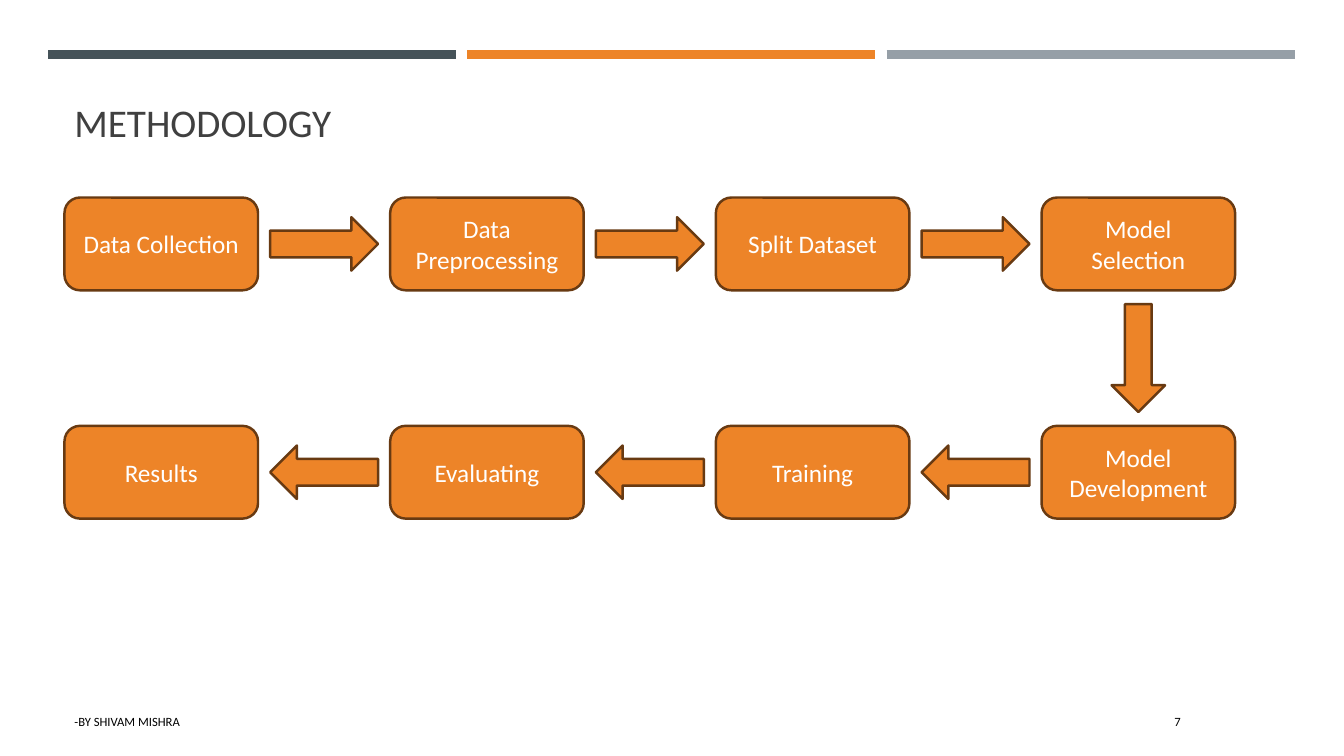
"""Build the methodology slide: a flow of eight steps that turns back at the right."""
import dataclasses

import pptx
import pptx.dml.color
import pptx.enum.shapes
import pptx.enum.text
import pptx.oxml
import pptx.util

KIND = pptx.enum.shapes.MSO_SHAPE
ALIGN = pptx.enum.text.PP_ALIGN
ANCHOR = pptx.enum.text.MSO_ANCHOR
WIDE = pptx.util.Inches(13.33)
HIGH = pptx.util.Inches(7.5)
COLS = ROWS = 100
STEPS = (
    ("Data Collection", "Data Preprocessing", "Split Dataset", "Model Selection"),
    ("Results", "Evaluating", "Training", "Model Development"),
)


@dataclasses.dataclass(frozen=True)
class Theme:
    """Hold the colours and type sizes of the slide."""
    font: str = "Calibri"
    slate: str = "465359"
    orange: str = "ED8428"
    grey: str = "969FA7"
    edge: str = "683A12"
    title: str = "404040"
    white: str = "FFFFFF"
    black: str = "000000"
    head: float = 28
    body: float = 18
    foot: float = 9
    bar: float = 6.5
    rim: float = 1.75


THEME = Theme()


def color(code):
    """Turn a hex code into a colour."""
    return pptx.dml.color.RGBColor.from_string(code)


def place(left, top, width, height):
    """Turn grid columns and rows into slide lengths."""
    return (round(left * WIDE / COLS), round(top * HIGH / ROWS),
            round(width * WIDE / COLS), round(height * HIGH / ROWS))


def write(shape, text, size, ink, align=ALIGN.LEFT, anchor=ANCHOR.TOP):
    """Put one styled paragraph into a shape."""
    frame = shape.text_frame
    frame.text = text
    frame.word_wrap = True
    frame.vertical_anchor = anchor
    line = frame.paragraphs[0]
    line.alignment = align
    font = line.runs[0].font
    font.name = THEME.font
    font.size = pptx.util.Pt(size)
    font.color.rgb = color(ink)


def label(slide, box, text, size, ink, anchor=ANCHOR.TOP):
    """Add a text box on the grid."""
    write(slide.shapes.add_textbox(*place(*box)), text, size, ink, anchor=anchor)


def block(slide, kind, mid, size):
    """Add an orange shape centred on a grid point."""
    box = place(mid[0] - size[0] / 2, mid[1] - size[1] / 2, *size)
    shape = slide.shapes.add_shape(kind, *box)
    shape.shadow.inherit = False
    shape.fill.solid()
    shape.fill.fore_color.rgb = color(THEME.orange)
    shape.line.color.rgb = color(THEME.edge)
    shape.line.width = pptx.util.Pt(THEME.rim)
    return shape


def bars(slide, box):
    """Draw three equal bars across the top of the box."""
    left, top, width, gap = box
    span = (width - 2 * gap) / 3
    for spot, ink in enumerate((THEME.slate, THEME.orange, THEME.grey)):
        x, y, w, _ = place(left + spot * (span + gap), top, span, 0)
        line = slide.shapes.add_connector(
            pptx.enum.shapes.MSO_CONNECTOR.STRAIGHT, x, y, x + w, y)
        line.line.color.rgb = color(ink)
        line.line.width = pptx.util.Pt(THEME.bar)
        props = line._element.spPr
        props.append(props.makeelement(pptx.oxml.ns.qn("a:effectLst"), {}))


def flow(slide, box):
    """Lay the steps out in two rows joined by block arrows."""
    left, top, width, height = box
    node = (14.4, 12.27)
    flat, tall = (8.03, 7.07), (3.98, 14.27)
    pitch = (width - node[0]) / (len(STEPS[0]) - 1)
    drop = height - node[1]
    start = (left + node[0] / 2, top + node[1] / 2)
    for row, names in enumerate(STEPS):
        y = start[1] + row * drop
        kind = (KIND.RIGHT_ARROW, KIND.LEFT_ARROW)[row]
        for col, name in enumerate(names):
            x = start[0] + col * pitch
            step = block(slide, KIND.ROUNDED_RECTANGLE, (x, y), node)
            write(step, name, THEME.body, THEME.white, ALIGN.CENTER, ANCHOR.MIDDLE)
            if col < len(names) - 1:
                block(slide, kind, (x + pitch / 2, y), flat)
    turn = (start[0] + width - node[0], start[1] + drop / 2)
    block(slide, KIND.DOWN_ARROW, turn, tall)


def footer(slide, box):
    """Write the author and the page number along the bottom."""
    left, top, width, height = box
    page = 8.63
    label(slide, (left, top, 56.7, height), "-BY SHIVAM MISHRA", THEME.foot, THEME.black)
    label(slide, (left + width - page, top, page, height), "7", THEME.foot, THEME.black)


def main():
    """Build and save the slide."""
    deck = pptx.Presentation()
    deck.slide_width, deck.slide_height = WIDE, HIGH
    slide = deck.slides.add_slide(deck.slide_layouts[6])
    bars(slide, (3.6, 7.2, 92.72, 0.83))
    label(slide, (4.8, 10.27, 90.17, 9.6), "METHODOLOGY",
          THEME.head, THEME.title, ANCHOR.BOTTOM)
    flow(slide, (4.8, 26.13, 87.1, 42.47))
    footer(slide, (4.8, 93.73, 90.47, 5.33))
    deck.save("out.pptx")


if __name__ == "__main__":
    main()
